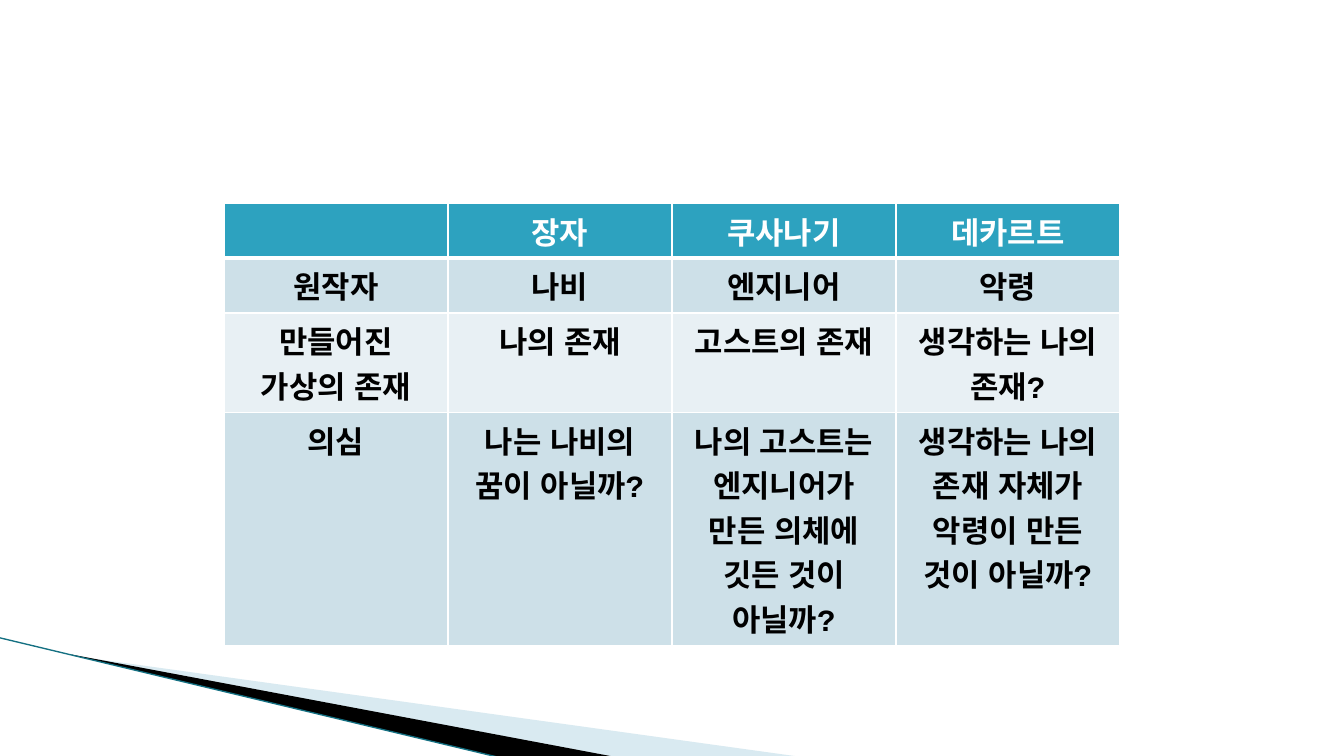
from lxml import etree
from pptx import Presentation
from pptx import util as u
from pptx.dml.color import RGBColor
from pptx.enum import lang, shapes, text
from pptx.oxml import ns

WHITE = RGBColor(0xFF, 0xFF, 0xFF)
BLACK = RGBColor(0, 0, 0)
TEAL = RGBColor(0x2D, 0xA2, 0xBF)
DARK_TEAL = RGBColor(0x14, 0x70, 0x82)
SKY = RGBColor(0xA0, 0xCB, 0xDC)
BAND = RGBColor(0xCD, 0xE0, 0xE8)
PALE_BAND = RGBColor(0xE8, 0xF0, 0xF4)


class SlideBuilder:
    font_name = "Courier New"
    font_size = u.Pt(22)

    def __init__(self, slide):
        self.slide = slide

    def polygon(self, points, color, alpha=None):
        corners = [(u.Pt(x), u.Pt(y)) for x, y in points]
        builder = self.slide.shapes.build_freeform(*corners[0])
        builder.add_line_segments(corners[1:], close=True)
        wedge = builder.convert_to_shape()
        wedge.shadow.inherit = False
        wedge.fill.solid()
        wedge.fill.fore_color.rgb = color
        wedge.line.fill.background()
        if alpha is not None:
            tint = wedge._element.spPr.find(".//" + ns.qn("a:srgbClr"))
            etree.SubElement(tint, ns.qn("a:alpha"), val=str(alpha * 1000))

    def line(self, start, end, color, width):
        edge = self.slide.shapes.add_connector(
            shapes.MSO_CONNECTOR.STRAIGHT, *map(u.Pt, start + end))
        edge.line.color.rgb = color
        edge.line.width = u.Pt(width)
        etree.SubElement(edge._element.spPr, ns.qn("a:effectLst"))

    def border(self, cell, widths):
        properties = cell._tc.get_or_add_tcPr()
        for index, (side, width) in enumerate(widths.items()):
            rule = etree.Element(ns.qn("a:ln" + side), w=str(u.Pt(width)))
            fill = etree.SubElement(rule, ns.qn("a:solidFill"))
            etree.SubElement(fill, ns.qn("a:srgbClr"), val=str(WHITE))
            properties.insert(index, rule)

    def cell(self, cell, wording, fill, color):
        cell.fill.solid()
        cell.fill.fore_color.rgb = fill
        cell.text_frame.text = wording
        paragraph = cell.text_frame.paragraphs[0]
        paragraph.alignment = text.PP_ALIGN.CENTER
        for run in paragraph.runs:
            run.font.name = self.font_name
            run.font.size = self.font_size
            run.font.bold = True
            run.font.color.rgb = color
            run.font.language_id = lang.MSO_LANGUAGE_ID.KOREAN

    def table(self, left, top, column_width, row_heights, rows):
        columns = len(rows[0])
        grid = self.slide.shapes.add_table(
            len(rows), columns, u.Pt(left), u.Pt(top),
            u.Pt(column_width * columns), u.Pt(sum(row_heights))).table
        for column in grid.columns:
            column.width = u.Pt(column_width)
        for r, (height, wordings) in enumerate(zip(row_heights, rows)):
            grid.rows[r].height = u.Pt(height)
            fill = TEAL if r == 0 else BAND if r % 2 else PALE_BAND
            color = WHITE if r == 0 else BLACK
            widths = {"L": 1, "R": 1, "T": 3 if r == 1 else 1, "B": 3 if r == 0 else 1}
            for c, wording in enumerate(wordings):
                self.cell(grid.cell(r, c), wording, fill, color)
                self.border(grid.cell(r, c), widths)


COMPARISON = [
    ["", "장자", "쿠사나기", "데카르트"],
    ["원작자", "나비", "엔지니어", "악령"],
    ["만들어진 가상의 존재", "나의 존재", "고스트의 존재", "생각하는 나의 존재?"],
    ["의심", "나는 나비의 꿈이 아닐까?",
     "나의 고스트는 엔지니어가 만든 의체에 깃든 것이 아닐까?",
     "생각하는 나의 존재 자체가 악령이 만든 것이 아닐까?"],
]

presentation = Presentation()
presentation.slide_width = u.Pt(960)
presentation.slide_height = u.Pt(540)
builder = SlideBuilder(presentation.slides.add_slide(presentation.slide_layouts[6]))

builder.polygon([(52.5, 468.5), (571, 540.5), (438, 540.5)], SKY, alpha=40)
builder.polygon([(51, 467.5), (438.5, 540.5), (357, 541), (52, 468)], BLACK)
builder.line((-0.5, 455.5), (356.5, 541), DARK_TEAL, 0.95)
builder.table(160, 145.5, 160, [39, 39, 71, 166], COMPARISON)

presentation.save("out.pptx")
